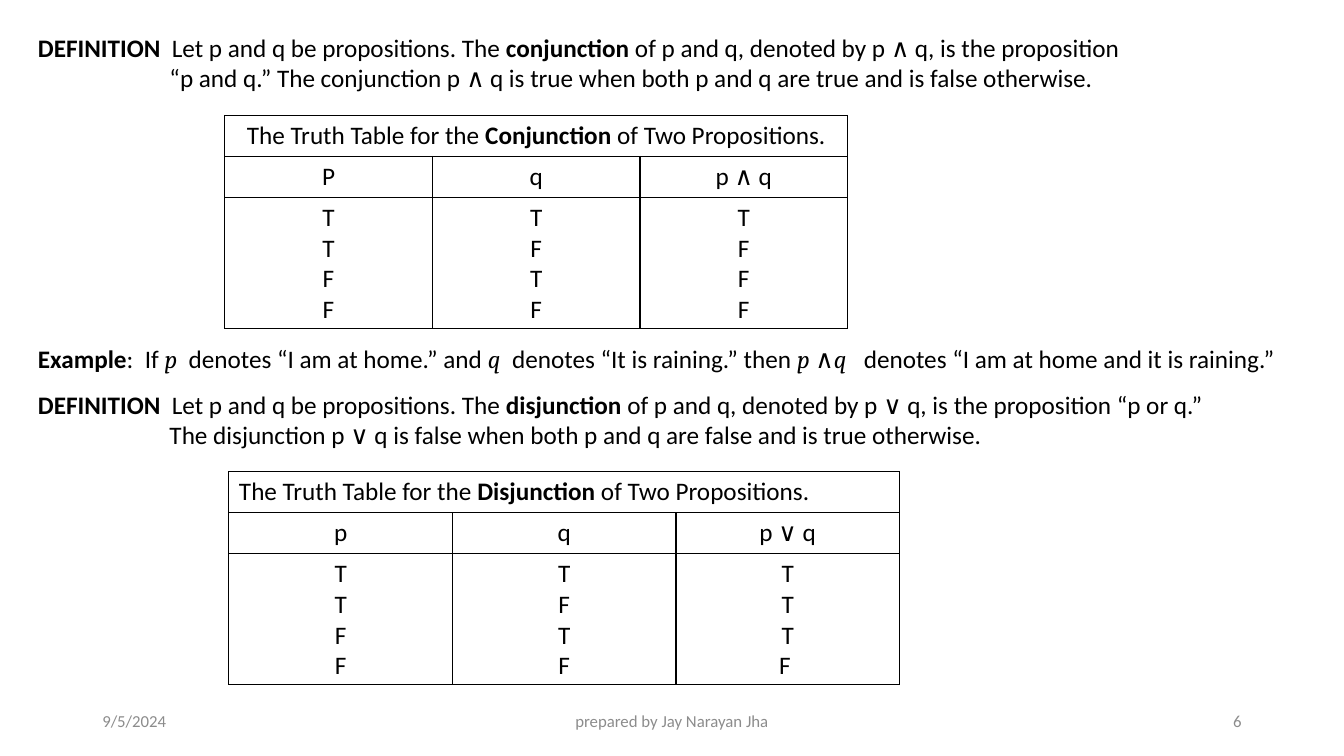
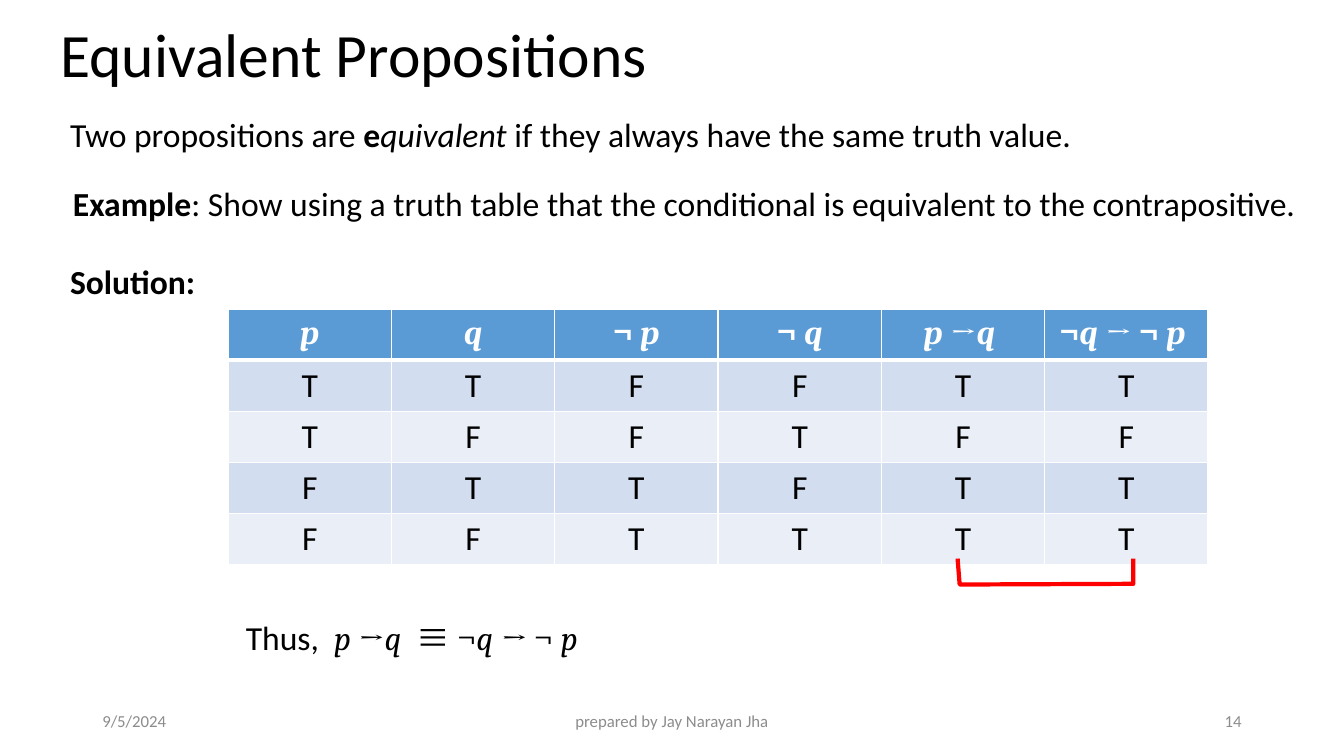
from lxml.etree import SubElement
from pptx import Presentation
from pptx.dml.color import RGBColor
from pptx.enum.text import MSO_ANCHOR, PP_ALIGN
from pptx.oxml.ns import qn
from pptx.util import Pt

HUES = {
    "ink": "000000",
    "paper": "FFFFFF",
    "muted": "8C8C8C",
    "head": "5B9BD5",
    "odd": "D2DEEF",
    "even": "EAEFF7",
    "mark": "FF0000",
}
LEFT, MID, RIGHT = PP_ALIGN.LEFT, PP_ALIGN.CENTER, PP_ALIGN.RIGHT


def hue(name):
    return RGBColor.from_string(HUES[name])


def bit(text, **form):
    return text, form


def bold(text):
    return bit(text, bold=True)


def math(text):
    return bit(text, name="Cambria", italic=True)


def sign(text):
    return bit(text, name="Cambria")


class Deck:
    font = "Calibri"
    inset = 94

    def __init__(self):
        self.show = Presentation()
        self.show.slide_width, self.show.slide_height = Pt(960), Pt(540)

    def start(self, number):
        self.slide = self.show.slides.add_slide(self.show.slide_layouts[6])
        foot = {"size": 12, "color": "muted", "high": 29, "anchor": MSO_ANCHOR.MIDDLE}
        self.text(66, 500, 216, ["9/5/2024"], **foot)
        self.text(318, 500, 324, ["prepared by Jay Narayan Jha"], align=MID, **foot)
        self.text(678, 500, 216, [number], align=RIGHT, **foot)

    def line(self, para, bits, size=18, color="ink", align=LEFT):
        para.alignment = align
        for item in [bits] if isinstance(bits, str) else bits:
            words, form = bit(item) if isinstance(item, str) else item
            run = para.add_run()
            run.text = words
            run.font.name = form.get("name", self.font)
            run.font.size = Pt(size)
            run.font.bold = form.get("bold", False)
            run.font.italic = form.get("italic", False)
            run.font.color.rgb = hue(color)

    def fill(self, frame, lines, **form):
        for i, bits in enumerate(lines):
            para = frame.add_paragraph() if i else frame.paragraphs[0]
            self.line(para, bits, **form)

    def text(self, x, y, wide, lines, high=36, anchor=MSO_ANCHOR.TOP, **form):
        frame = self.slide.shapes.add_textbox(Pt(x), Pt(y), Pt(wide), Pt(high)).text_frame
        frame.word_wrap = True
        frame.vertical_anchor = anchor
        self.fill(frame, lines, **form)
        return frame

    def title(self, words):
        frame = self.text(36, 13.5, 648, [words], high=90, size=44)
        frame.paragraphs[0].line_spacing = 0.9

    def define(self, y, first, second):
        frame = self.text(20, y, 900, [[bold("DEFINITION")] + first, second], high=51)
        props = frame.paragraphs[1]._p.get_or_add_pPr()
        props.set("marL", str(Pt(self.inset)))
        props.set("indent", "0")

    def edge(self, cell, color, base=1):
        props = cell._tc.get_or_add_tcPr()
        for side in "LRTB":
            width = base if side == "B" else 1
            rule = SubElement(props, qn("a:ln" + side), w=str(Pt(width)))
            paint = SubElement(rule, qn("a:solidFill"))
            SubElement(paint, qn("a:srgbClr"), val=HUES[color])

    def grid(self, x, y, wide, highs, cols):
        frame = self.slide.shapes.add_table(
            len(highs), cols, Pt(x), Pt(y), Pt(wide), Pt(sum(highs)))
        table = frame.table
        table.first_row = table.horz_banding = False
        for col in table.columns:
            col.width = Pt(wide / cols)
        for row, high in zip(table.rows, highs):
            row.height = Pt(high)
        return table

    def truth(self, x, y, wide, name, heads, marks, align=MID):
        table = self.grid(x, y, wide, (29.25, 29.25, 93.5), 3)
        for cell in table.iter_cells():
            self.edge(cell, "ink")
            cell.fill.background()
        top = table.cell(0, 0)
        top.merge(table.cell(0, 2))
        words = ["The Truth Table for the ", bold(name), " of Two Propositions."]
        self.fill(top.text_frame, [words], align=align)
        for c, (head, column) in enumerate(zip(heads, marks)):
            self.fill(table.cell(1, c).text_frame, [head], align=MID)
            self.fill(table.cell(2, c).text_frame, column, align=MID)

    def bands(self, x, y, wide, heads, rows):
        table = self.grid(x, y, wide, [36.4] * (len(rows) + 1), len(heads))
        for r, row in enumerate([heads, *rows]):
            tone = ("odd" if r % 2 else "even") if r else "head"
            for c, bits in enumerate(row):
                cell = table.cell(r, c)
                self.edge(cell, "paper", 1 if r else 3)
                cell.fill.solid()
                cell.fill.fore_color.rgb = hue(tone)
                if not r:
                    bits = [bit(word, **form, bold=True) for word, form in bits]
                self.fill(cell.text_frame, [bits], size=24, align=MID,
                          color="ink" if r else "paper")

    def trace(self, first, *rest):
        pen = self.slide.shapes.build_freeform(*map(Pt, first), scale=1.0)
        pen.add_line_segments([(Pt(x), Pt(y)) for x, y in rest], close=False)
        shape = pen.convert_to_shape()
        shape.shadow.inherit = False
        shape.fill.background()
        shape.line.color.rgb = hue("mark")
        shape.line.width = Pt(3)


def joins(deck):
    deck.start("6")
    deck.define(
        19.5,
        ["  Let p and q be propositions. The ", bold("conjunction"),
         " of p and q, denoted by p ∧ q, is the proposition"],
        "“p and q.” The conjunction p ∧ q is true when both p and q are true "
        "and is false otherwise.")
    deck.truth(160.5, 82.5, 445, "Conjunction", ("P", "q", "p ∧ q"),
               ("TTFF", "TFTF", "TFFF"))
    deck.text(20, 242, 930, [[
        bold("Example"), ":  If ", math("p"), "  denotes “I am at home.” and ",
        math("q"), "  denotes “It is raining.” then ", math("p "), sign("∧"),
        math("q"), "   denotes “I am at home and it is raining.”"]])
    deck.define(
        274.5,
        ["  Let p and q be propositions. The ", bold("disjunction "),
         "of p and q, denoted by p ∨ q, is the proposition “p or q.”"],
        "The disjunction p ∨ q is false when both p and q are false "
        "and is true otherwise.")
    deck.truth(163.5, 337, 479, "Disjunction", ("p", "q", "p ∨ q"),
               ("TTFF", "TFTF", ("T", "T", "T", "F ")), align=LEFT)


def equals(deck):
    deck.start("14")
    deck.title("Equivalent Propositions")
    deck.text(43, 78, 791, [[
        "Two propositions are ", bold("e"), bit("quivalent ", italic=True),
        "if they always have the same truth value."]], size=24)
    deck.text(45, 127, 915, [[
        bold("Example"),
        ": Show using a truth table that the conditional is equivalent "
        "to the contrapositive."]], size=24)
    deck.text(43, 183, 130, [[bold("Solution:")]], size=24)
    given = [math("p "), sign("→")]
    contra = [sign("¬"), math("q "), sign("→ ¬ ")]
    heads = ([math("p")], [math("q")], [sign("¬ "), math("p")],
             [sign("¬ "), math("q")], given + [math("q ")], contra + [math("p ")])
    deck.bands(163, 221, 700, heads, ("TTFFTT", "TFFTFF", "FTTFTT", "FFTTTT"))
    deck.trace((684, 399), (685.5, 417.5), (809.5, 417), (809.5, 399))
    deck.text(168.5, 437, 300, [[
        "Thus,  ", *given, math("q  "), bit("≡ ", name="Noto Sans CJK JP"),
        *contra, math("p")]], size=24)


def main():
    deck = Deck()
    joins(deck)
    equals(deck)
    deck.show.save("out.pptx")


if __name__ == "__main__":
    main()
